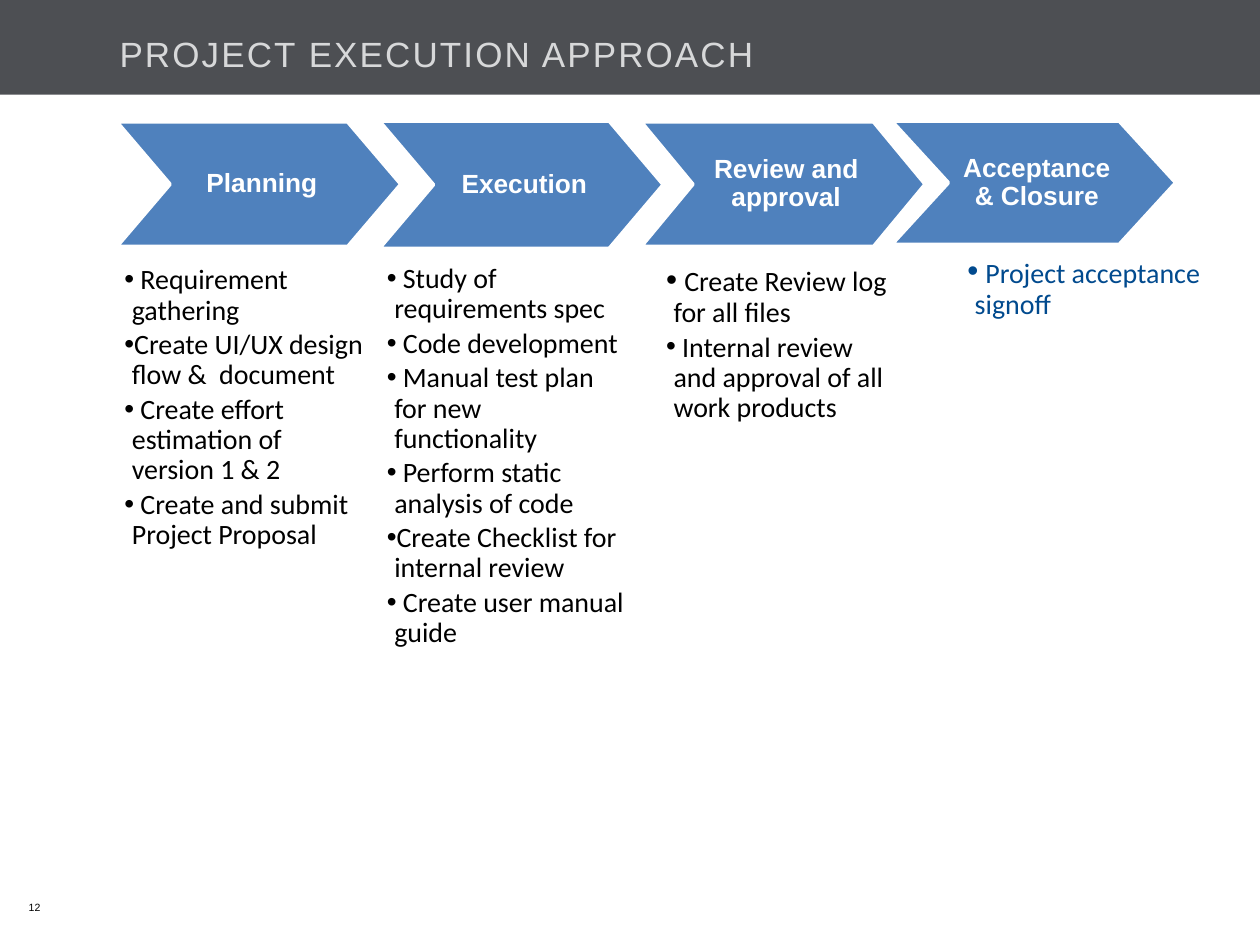
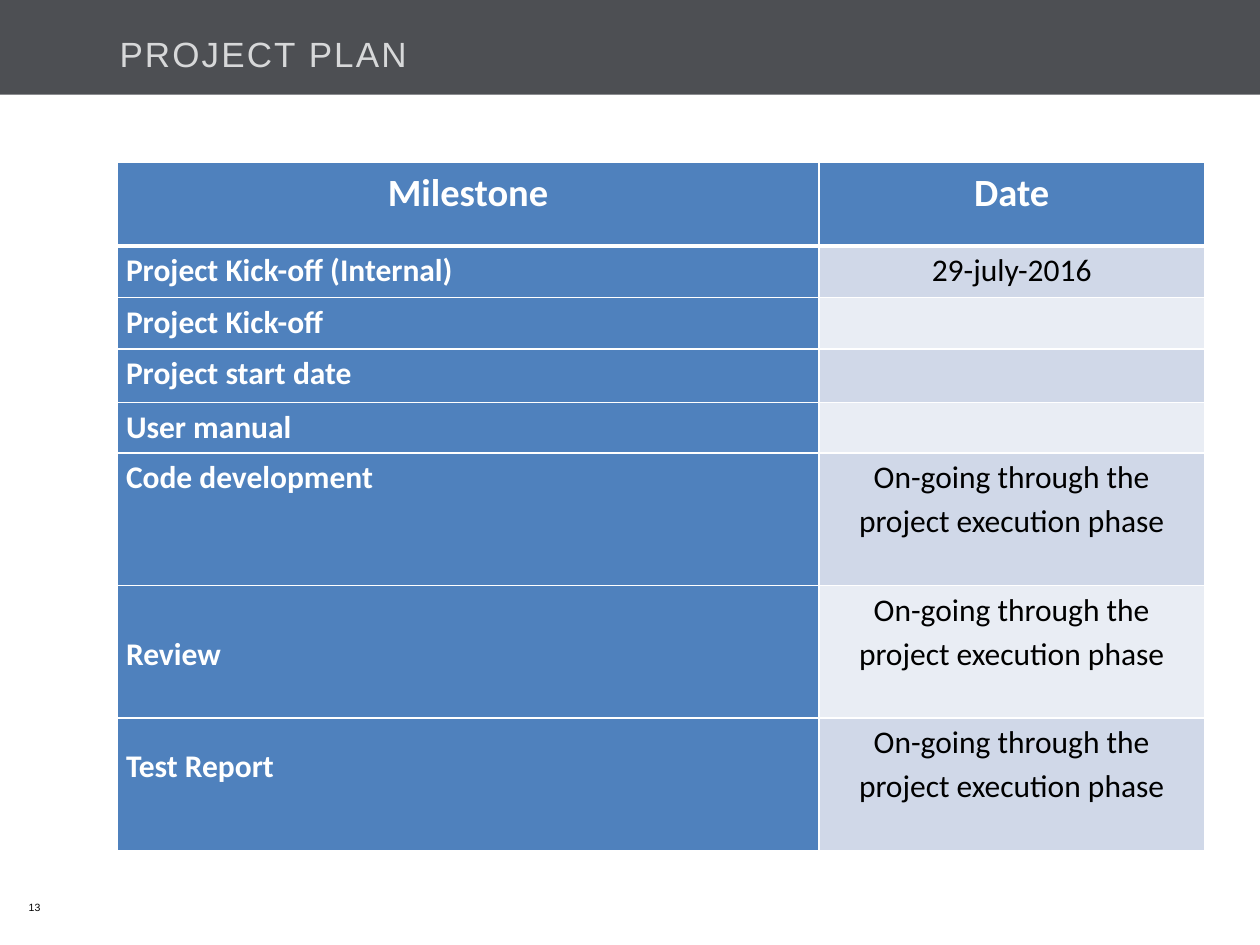
import dataclasses

import lxml.etree
import pptx
import pptx.dml.color
import pptx.enum.shapes
import pptx.enum.text
import pptx.oxml.ns
import pptx.util

Cm, Pt = pptx.util.Cm, pptx.util.Pt
RGB = pptx.dml.color.RGBColor.from_string
ALIGN = pptx.enum.text.PP_ALIGN
ANCHOR = pptx.enum.text.MSO_ANCHOR
qn = pptx.oxml.ns.qn


@dataclasses.dataclass(frozen=True)
class Theme:
    heading_font: str = "Arial"
    body_font: str = "Calibri"
    white: str = "FFFFFF"
    black: str = "000000"
    band: str = "4D4F53"
    title: str = "D7D8D9"
    accent: str = "4F81BD"
    highlight: str = "014A8E"
    stripes: tuple = ("D0D8E8", "E9EDF4")
    title_size: int = 20
    number_size: int = 6
    step_size: int = 15
    bullet_size: int = 16
    lead_size: int = 18
    header_size: int = 22
    cell_size: int = 18


theme = Theme()


def style_run(r, font, size, color, bold=False):
    r.font.name = font
    r.font.size = Pt(size)
    r.font.color.rgb = RGB(color)
    r.font.bold = bold


def add_base_slide(prs, title, number):
    """Add a blank slide with the shared bands, title and slide number."""
    s = prs.slides.add_slide(prs.slide_layouts[6])
    for top, height, color in ((17.53, 1.52, theme.white), (0, 1.91, theme.band)):
        sp = s.shapes.add_shape(pptx.enum.shapes.MSO_SHAPE.RECTANGLE,
                                0, Cm(top), prs.slide_width, Cm(height))
        sp.shadow.inherit = False
        sp.fill.solid()
        sp.fill.fore_color.rgb = RGB(color)
        sp.line.fill.background()

    labels = (
        (str(number), (0.28, 17.78, 1.68, 1.02), (0.3, 0.15), ANCHOR.MIDDLE,
         theme.number_size, theme.black),
        (title, (2.41, 0.23, 21.72, 1.27), (0, 0), ANCHOR.BOTTOM,
         theme.title_size, theme.title),
    )
    for text, box, (side, edge), anchor, size, color in labels:
        tf = s.shapes.add_textbox(*map(Cm, box)).text_frame
        tf.word_wrap = True
        tf.vertical_anchor = anchor
        tf.margin_left = tf.margin_right = Cm(side)
        tf.margin_top = tf.margin_bottom = Cm(edge)
        tf.text = text
        r = tf.paragraphs[0].runs[0]
        style_run(r, theme.heading_font, size, color)
    r.font._element.set("spc", "120")  # title letter spacing
    return s


prs = pptx.Presentation()
prs.slide_width, prs.slide_height = Cm(25.4), Cm(19.05)

# Project execution approach
s = add_base_slide(prs, "PROJECT EXECUTION APPROACH", 12)

step_width = 5.72
# name, left, top, height, depth of the point
steps = (
    ("Planning", 2.36, 2.46, 2.51, 1.07),
    ("Execution", 7.65, 2.44, 2.57, 1.09),
    ("Review and approval", 12.93, 2.46, 2.51, 1.04),
    ("Acceptance & Closure", 17.98, 2.44, 2.49, 1.14),
)
for name, left, top, height, point in steps:
    right, middle, bottom = left + step_width, top + height / 2, top + height
    outline = ((right - point, top), (right, middle), (right - point, bottom),
               (left, bottom), (left + point, middle))
    builder = s.shapes.build_freeform(Cm(left), Cm(top))
    builder.add_line_segments([(Cm(x), Cm(y)) for x, y in outline], close=True)
    sp = builder.convert_to_shape()
    sp.shadow.inherit = False
    sp.fill.solid()
    sp.fill.fore_color.rgb = RGB(theme.accent)
    sp.line.color.rgb = RGB(theme.white)
    sp.line.width = Pt(2)
    tf = sp.text_frame
    tf.word_wrap = True
    tf.vertical_anchor = ANCHOR.MIDDLE
    tf.margin_left, tf.margin_right = Cm(1.2), Cm(1.08)
    tf.margin_top = tf.margin_bottom = Cm(0.05)
    tf.text = name
    p = tf.paragraphs[0]
    p.alignment = ALIGN.CENTER
    p.line_spacing = 0.9
    style_run(p.runs[0], theme.heading_font, theme.step_size, theme.white, True)

# box, colour, size of the first bullet, activities
activities = (
    ((2.36, 5.36, 4.98, 6.22), theme.black, theme.bullet_size, (
        " Requirement gathering",
        "Create UI/UX design flow &  document",
        " Create effort estimation of version 1 & 2",
        " Create and submit Project Proposal")),
    ((7.65, 5.33, 4.98, 8.36), theme.black, theme.bullet_size, (
        " Study of requirements spec",
        " Code development",
        " Manual test plan for new functionality",
        " Perform static analysis of code",
        "Create Checklist for internal review",
        " Create user manual guide")),
    ((13.28, 5.33, 4.7, 2.62), theme.black, theme.lead_size, (
        " Create Review log for all files",
        " Internal review and approval of all work products")),
    ((19.35, 5.16, 5.49, 1.52), theme.highlight, theme.lead_size, (
        " Project acceptance signoff",)),
)
for box, color, first_size, items in activities:
    tf = s.shapes.add_textbox(*map(Cm, box)).text_frame
    tf.word_wrap = True
    tf.margin_left = tf.margin_right = tf.margin_top = tf.margin_bottom = 0
    for i, item in enumerate(items):
        p = tf.add_paragraph() if i else tf.paragraphs[0]
        p.line_spacing = 0.9
        p.space_after = Pt(2.5)
        # The bullet takes its size from the first run
        lead_size = theme.bullet_size if i else first_size
        parts = [(item, lead_size)]
        if lead_size != theme.bullet_size:
            parts = [(item[0], lead_size), (item[1:], theme.bullet_size)]
        for text, size in parts:
            r = p.add_run()
            r.text = text
            style_run(r, theme.body_font, size, color)
        pPr = p._p.get_or_add_pPr()
        pPr.set("lvl", "1")
        pPr.set("marL", str(Cm(0.3)))
        pPr.set("indent", str(-Cm(0.15)))
        lxml.etree.SubElement(pPr, qn("a:buFont"), typeface=theme.heading_font)
        lxml.etree.SubElement(pPr, qn("a:buChar"), char="•")

# Project plan
s = add_base_slide(prs, "PROJECT PLAN", 13)

ongoing = "On-going through the project execution phase"
# milestone, date, row height, anchor of the milestone, space below it
milestones = (
    ("Milestone", "Date", 1.68, ANCHOR.TOP, 0),
    ("Project Kick-off (Internal)", "29-july-2016", 1.04, ANCHOR.TOP, 0),
    ("Project Kick-off", "", 1.04, ANCHOR.TOP, 0),
    ("Project start date", "", 1.07, ANCHOR.TOP, 0),
    ("User manual", "", 1.02, ANCHOR.TOP, 0),
    ("Code development", ongoing, 2.67, ANCHOR.TOP, 0),
    ("Review", ongoing, 2.67, ANCHOR.MIDDLE, 0),
    ("Test Report", ongoing, 2.67, ANCHOR.MIDDLE, 0.8),
)
col_widths = (14.15, 7.77)
table = s.shapes.add_table(
    len(milestones), len(col_widths), Cm(2.36), Cm(3.28),
    Cm(sum(col_widths)), Cm(sum(row[2] for row in milestones))).table
for col, width in zip(table.columns, col_widths):
    col.width = Cm(width)

for i, (milestone, date, height, anchor, below) in enumerate(milestones):
    table.rows[i].height = Cm(height)
    for j, text in enumerate((milestone, date)):
        cell = table.cell(i, j)
        on_accent = i == 0 or j == 0
        cell.margin_left = cell.margin_right = Cm(0.18)
        cell.margin_top = cell.margin_bottom = 0
        if j == 0:
            cell.vertical_anchor = anchor
            cell.margin_bottom = Cm(below)

        tcPr = cell._tc.get_or_add_tcPr()
        for side in ("lnL", "lnR", "lnT", "lnB"):
            under_header = (i, side) in ((0, "lnB"), (1, "lnT"))
            ln = lxml.etree.SubElement(tcPr, qn("a:" + side),
                                       w=str(Pt(3 if under_header else 1)))
            fill = lxml.etree.SubElement(ln, qn("a:solidFill"))
            lxml.etree.SubElement(fill, qn("a:srgbClr"), val=theme.white)
        cell.fill.solid()
        cell.fill.fore_color.rgb = RGB(
            theme.accent if on_accent else theme.stripes[(i - 1) % 2])

        cell.text_frame.text = text
        p = cell.text_frame.paragraphs[0]
        p.line_spacing = 1.15
        p.alignment = ALIGN.CENTER if i == 0 or j == 1 else ALIGN.LEFT
        for r in p.runs:
            style_run(r, theme.body_font,
                      theme.cell_size if i else theme.header_size,
                      theme.white if on_accent else theme.black, on_accent)

prs.save("out.pptx")
